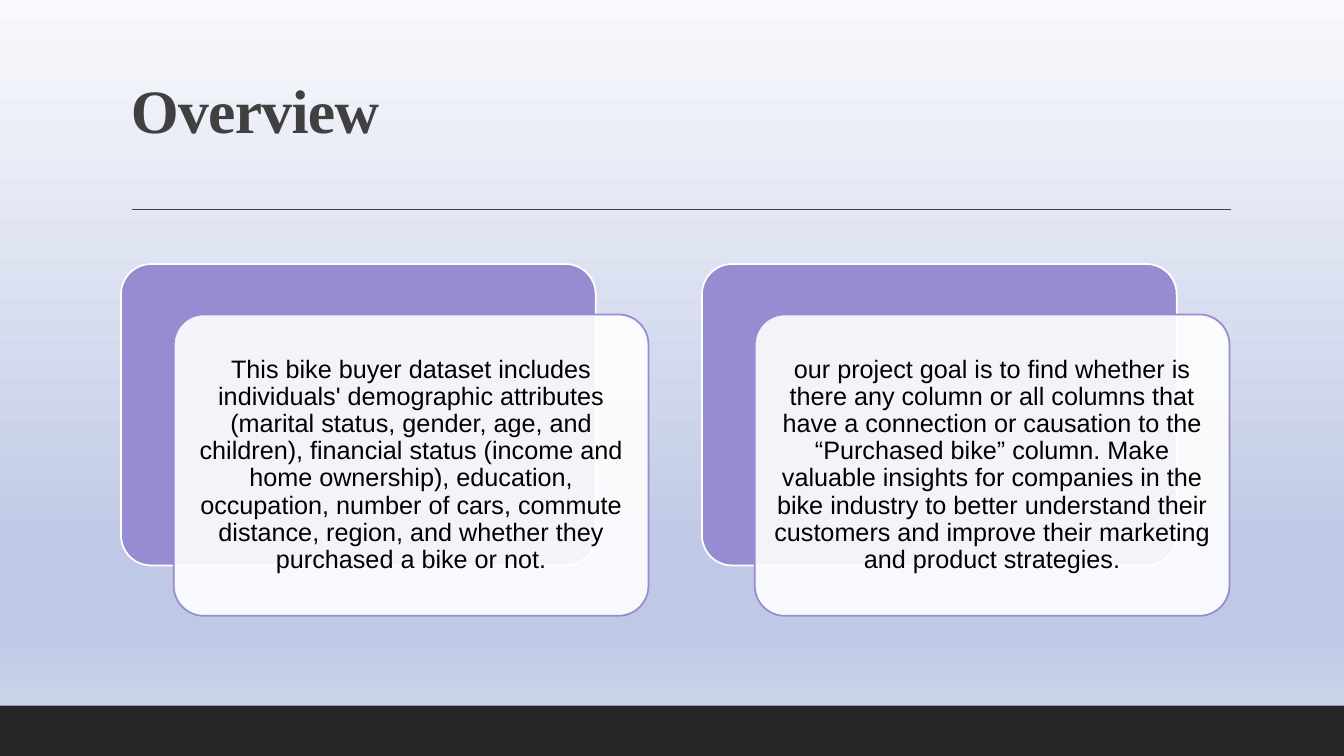
from dataclasses import dataclass

from lxml import etree
from pptx import Presentation
from pptx.dml.color import RGBColor
from pptx.enum.shapes import MSO_CONNECTOR, MSO_SHAPE
from pptx.enum.text import MSO_ANCHOR, PP_ALIGN
from pptx.oxml.ns import qn
from pptx.util import Pt


@dataclass(frozen=True)
class Theme:
    ink: str = "404040"
    footer: str = "262626"
    accent: str = "978BD1"
    white: str = "FFFFFF"
    black: str = "000000"
    sky: tuple = ((0, "F8F9FC"), (74, "BFC9E6"), (83, "BFC9E6"), (100, "D4DBEE"))
    title_font: str = "Times New Roman"
    body_font: str = "Arial"
    title_size: float = 44
    body_size: float = 18


class Deck:
    def __init__(self, prs, theme):
        self.theme = theme
        self.s = prs.slides.add_slide(prs.slide_layouts[6])

    def gradient(self, fill):
        """Fill with the sky colours from top to bottom."""
        fill.gradient()
        fill.gradient_angle = 270
        stops = fill._fill._gradFill.find(qn("a:gsLst"))
        for old in list(stops):
            stops.remove(old)
        for pos, color in self.theme.sky:
            gs = etree.SubElement(stops, qn("a:gs"), pos=str(pos * 1000))
            etree.SubElement(gs, qn("a:srgbClr"), val=color)

    def box(self, x, y, w, h, fill=None, line=None, radius=None, alpha=None):
        """Rectangle, rounded if a radius is given; no fill means the sky."""
        kind = MSO_SHAPE.RECTANGLE if radius is None else MSO_SHAPE.ROUNDED_RECTANGLE
        sp = self.s.shapes.add_shape(kind, Pt(x), Pt(y), Pt(w), Pt(h))
        sp.shadow.inherit = False
        if radius is not None:
            sp.adjustments[0] = radius
        if fill is None:
            self.gradient(sp.fill)
        else:
            sp.fill.solid()
            sp.fill.fore_color.rgb = RGBColor.from_string(fill)
        if alpha is not None:
            clr = sp.fill._xPr.find(qn("a:solidFill"))[0]
            etree.SubElement(clr, qn("a:alpha"), val=str(alpha * 1000))
        if line is None:
            sp.line.fill.background()
        else:
            sp.line.color.rgb = RGBColor.from_string(line)
            sp.line.width = Pt(1.25)
        return sp

    def rule(self, x1, x2, y):
        ln = self.s.shapes.add_connector(
            MSO_CONNECTOR.STRAIGHT, Pt(x1), Pt(y), Pt(x2), Pt(y))
        ln.line.color.rgb = RGBColor.from_string(self.theme.ink)
        ln.line.width = Pt(1)
        etree.SubElement(ln._element.spPr, qn("a:effectLst"))

    def text(self, x, y, w, h, text, font, size, color, anchor,
             align=PP_ALIGN.LEFT, bold=False, inset=None, after=0, tracking=0):
        tf = self.s.shapes.add_textbox(Pt(x), Pt(y), Pt(w), Pt(h)).text_frame
        tf.word_wrap = True
        tf.vertical_anchor = anchor
        if inset is not None:
            tf.margin_left = tf.margin_right = Pt(inset)
            tf.margin_top = tf.margin_bottom = Pt(inset)
        tf.text = text
        p = tf.paragraphs[0]
        p.alignment = align
        p.line_spacing = 0.9
        p.space_after = Pt(after)
        r = p.runs[0]
        r.font.name = font
        r.font.size = Pt(size)
        r.font.bold = bold
        r.font.color.rgb = RGBColor.from_string(color)
        if tracking:
            r._r.get_or_add_rPr().set("spc", str(round(tracking * 100)))

    def title(self, text):
        t = self.theme
        self.text(86.4, 22.3, 792, 86.4, text, t.title_font, t.title_size, t.ink,
                  MSO_ANCHOR.BOTTOM, bold=True, tracking=-0.5)

    def card(self, x, y, text):
        """Accent panel with a translucent text panel shifted over it."""
        t = self.theme
        w, h, dx, dy, pad = 339.1, 215.3, 37.7, 36, 6.3
        self.box(x, y, w, h, t.accent, t.white, radius=0.1)
        self.box(x + dx, y + dy, w, h, t.white, t.accent, radius=0.1, alpha=90)
        self.text(x + dx + pad, y + dy + pad, w - 2 * pad, h - 2 * pad, text,
                  t.body_font, t.body_size, t.black, MSO_ANCHOR.MIDDLE,
                  PP_ALIGN.CENTER, inset=5.4, after=6.3)


CARDS = (
    "This bike buyer dataset includes individuals' demographic attributes "
    "(marital status, gender, age, and children), financial status (income and "
    "home ownership), education, occupation, number of cars, commute distance, "
    "region, and whether they purchased a bike or not.",
    "our project goal is to find whether is there any column or all columns that "
    "have a connection or causation to the “Purchased bike” column. Make valuable "
    "insights for companies in the bike industry to better understand their "
    "customers and improve their marketing and product strategies.",
)


def main():
    prs = Presentation()
    prs.slide_width, prs.slide_height = Pt(960), Pt(540)
    deck = Deck(prs, Theme())

    # Backdrop
    deck.gradient(deck.s.background.fill)
    deck.box(0, 0, 960, 540)

    # Heading and footer band
    deck.title("Overview")
    deck.rule(94.3, 879, 149.5)
    deck.box(0, 504, 960, 36, deck.theme.footer)

    # Cards
    for i, text in enumerate(CARDS):
        deck.card(86.4 + i * 415, 188.6, text)

    prs.save("out.pptx")


if __name__ == "__main__":
    main()
